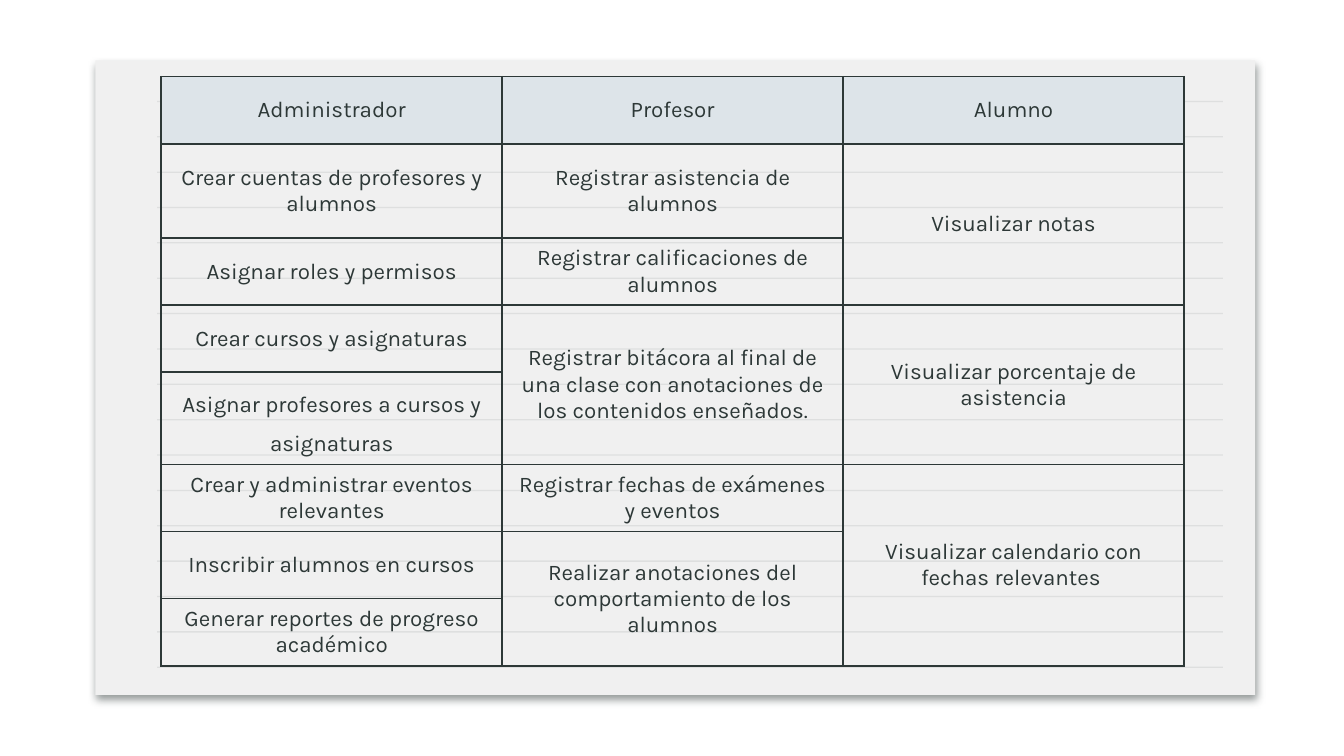
from lxml.etree import SubElement
from pptx import Presentation
from pptx.dml.color import RGBColor
from pptx.enum.shapes import MSO_SHAPE
from pptx.enum.text import MSO_ANCHOR, PP_ALIGN
from pptx.oxml.ns import qn
from pptx.util import Inches, Pt

INK, PAPER, HEADER = "2D3837", "F0F0F0", "DDE4E9"
ROW_HEIGHTS = [0.5, 0.7] + [0.5] * 6
TABLE_WIDTH = 7.61
ROLES = {
    "Administrador": [
        ("Crear cuentas de profesores y alumnos", 1),
        ("Asignar roles y permisos", 1),
        ("Crear cursos y asignaturas", 1),
        ("Asignar profesores a cursos y asignaturas", 1),
        ("Crear y administrar eventos relevantes", 1),
        ("Inscribir alumnos en cursos", 1),
        ("Generar reportes de progreso académico", 1),
    ],
    "Profesor": [
        ("Registrar asistencia de alumnos", 1),
        ("Registrar calificaciones de alumnos", 1),
        ("Registrar bitácora al final de una clase con anotaciones "
         "de los contenidos enseñados.", 2),
        ("Registrar fechas de exámenes y eventos", 1),
        ("Realizar anotaciones del comportamiento de los alumnos", 2),
    ],
    "Alumno": [
        ("Visualizar notas", 2),
        ("Visualizar porcentaje de asistencia", 2),
        ("Visualizar calendario con fechas relevantes ", 3),
    ],
}


def rgb(value):
    """Turn a hex string into a colour."""
    return RGBColor.from_string(value)


def set_attrs(obj, values):
    """Set every attribute named in a dict."""
    for name, value in values.items():
        setattr(obj, name, value)


def add_color(parent, color, alpha=100):
    """Append a colour element with an opacity in percent."""
    clr = SubElement(parent, qn("a:srgbClr"), val=color)
    if alpha < 100:
        SubElement(clr, qn("a:alpha"), val=str(alpha * 1000))


def add_box(s, kind, box, color):
    """Add a filled shape without line or shadow."""
    sp = s.shapes.add_shape(kind, *map(Inches, box))
    sp.shadow.inherit = False
    sp.fill.solid()
    sp.fill.fore_color.rgb = rgb(color)
    sp.line.fill.background()
    return sp


def add_card(s):
    """Add the paper card with its soft shadow."""
    sp = add_box(s, MSO_SHAPE.ROUNDED_RECTANGLE, (0.71, 0.45, 8.63, 4.72), PAPER)
    sp.adjustments[0] = 0
    effects = sp._element.spPr.find(qn("a:effectLst"))
    shadow = SubElement(effects, qn("a:outerShdw"), blurRad=str(Pt(4.5)),
                        dist=str(Pt(3)), dir=str(70 * 60000),
                        algn="bl", rotWithShape="0")
    add_color(shadow, INK, 50)


def add_rules(s, count=17, top=0.75, bottom=4.96):
    """Add evenly spaced faint ruled lines."""
    step = (bottom - top) / (count - 1)
    for i in range(count):
        sp = add_box(s, MSO_SHAPE.RECTANGLE, (1.17, top + i * step, 7.93, 0.01), INK)
        clr = sp._element.spPr.find(qn("a:solidFill"))[0]
        SubElement(clr, qn("a:alpha"), val="9000")


def add_borders(cell):
    """Draw a thin line on all four sides of a cell."""
    tc_pr = cell._tc.get_or_add_tcPr()
    for i, side in enumerate(("lnL", "lnR", "lnT", "lnB")):
        ln = SubElement(tc_pr, qn(f"a:{side}"), w=str(Pt(1)))
        add_color(SubElement(ln, qn("a:solidFill")), INK)
        tc_pr.insert(i, ln)


def write_cell(cell, text, spacing=None):
    """Write centred text in a cell."""
    p = cell.text_frame.paragraphs[0]
    set_attrs(p, {"alignment": PP_ALIGN.CENTER, "line_spacing": spacing})
    r = p.add_run()
    r.text = text
    set_attrs(r.font, {"name": "Karla", "size": Pt(12), "bold": False})
    r.font.color.rgb = rgb(INK)


def style_cell(cell, color=None):
    """Set the fill, margins, anchor and borders of a cell."""
    set_attrs(cell, {
        "vertical_anchor": MSO_ANCHOR.MIDDLE,
        "margin_left": Inches(0.1), "margin_right": Inches(0.1),
        "margin_top": Inches(0.05), "margin_bottom": Inches(0.05),
    })
    if color:
        cell.fill.solid()
        cell.fill.fore_color.rgb = rgb(color)
    else:
        cell.fill.background()
    add_borders(cell)


def add_role_table(s):
    """Add the table of tasks for each role."""
    rows, cols = len(ROW_HEIGHTS), len(ROLES)
    frame = s.shapes.add_table(rows, cols, Inches(1.2), Inches(0.57),
                               Inches(TABLE_WIDTH), Inches(sum(ROW_HEIGHTS)))
    table = frame.table
    set_attrs(table, {"first_row": False, "horz_banding": False})
    for row, height in zip(table.rows, ROW_HEIGHTS):
        row.height = Inches(height)
    for i, cell in enumerate(table.iter_cells()):
        style_cell(cell, HEADER if i < cols else None)
    for c, (role, tasks) in enumerate(ROLES.items()):
        write_cell(table.cell(0, c), role)
        top = 1
        for text, span in tasks:
            cell = table.cell(top, c)
            if span > 1:
                cell.merge(table.cell(top + span - 1, c))
            write_cell(cell, text, 1.5 if (top, c) == (4, 0) else None)
            top += span


def main():
    """Build the slide and save it."""
    prs = Presentation()
    set_attrs(prs, {"slide_width": Inches(10), "slide_height": Inches(10 * 9 / 16)})
    s = prs.slides.add_slide(prs.slide_layouts[6])
    add_card(s)
    add_rules(s)
    add_role_table(s)
    prs.save("out.pptx")


if __name__ == "__main__":
    main()
